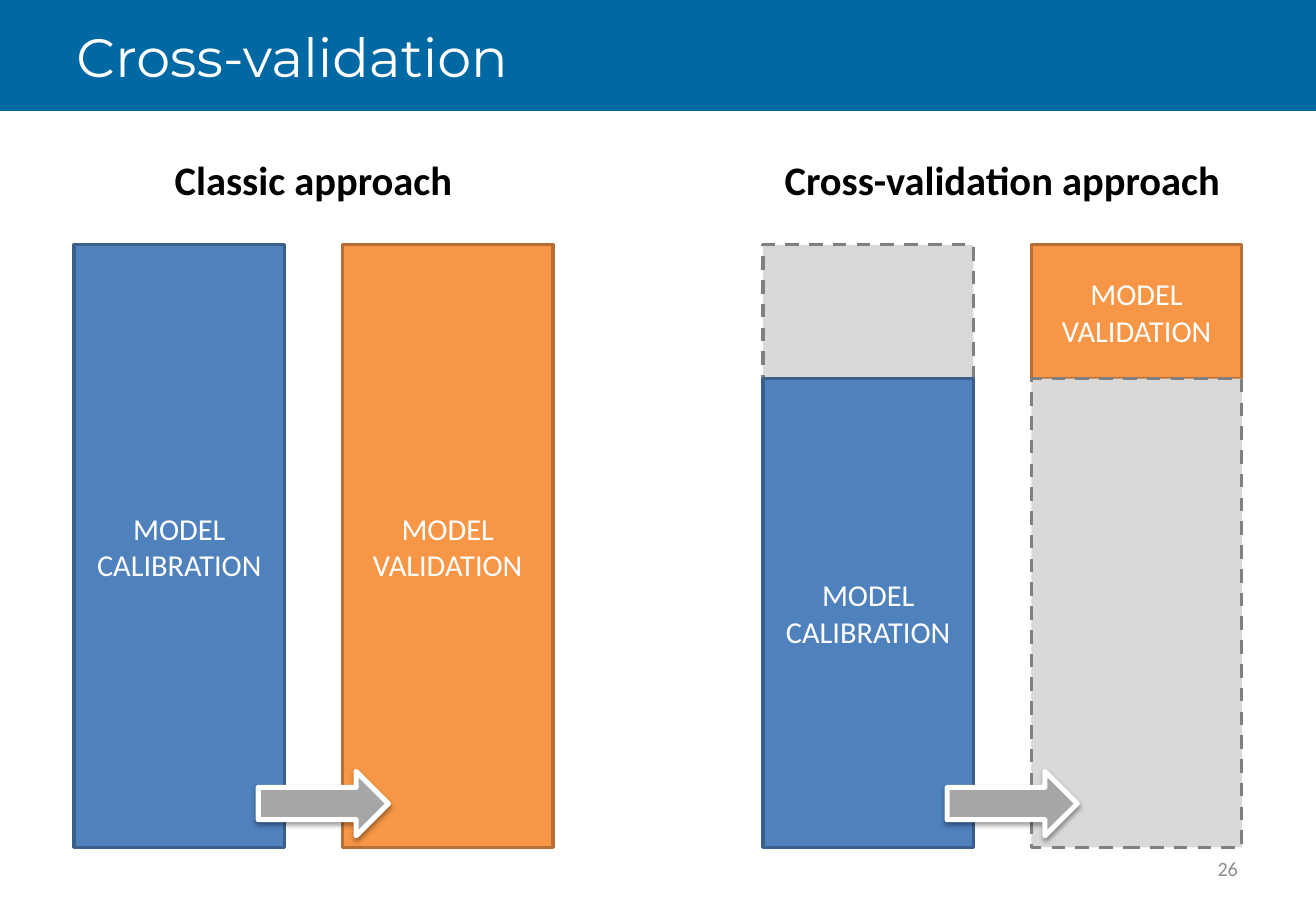
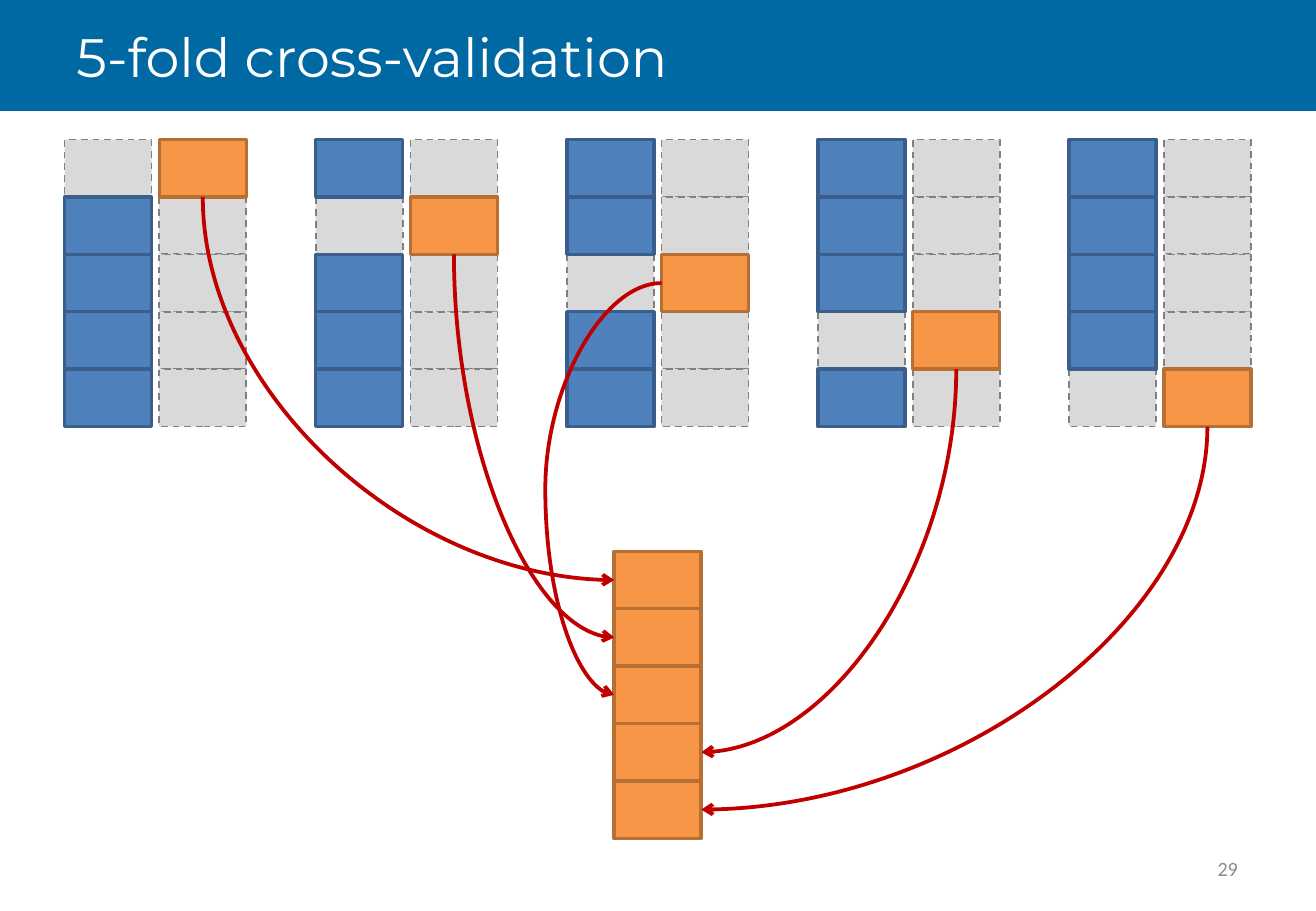
from dataclasses import dataclass
from typing import Any, Optional

from lxml import etree
from pptx import Presentation
from pptx.dml.color import RGBColor
from pptx.enum.dml import MSO_LINE
from pptx.enum.shapes import MSO_CONNECTOR, MSO_SHAPE
from pptx.enum.text import MSO_ANCHOR, PP_ALIGN
from pptx.oxml.ns import qn
from pptx.util import Cm, Pt

RECT, RIGHT_ARROW = MSO_SHAPE.RECTANGLE, MSO_SHAPE.RIGHT_ARROW
CURVE = MSO_CONNECTOR.CURVE
DASH = MSO_LINE.DASH
MIDDLE, TOP = MSO_ANCHOR.MIDDLE, MSO_ANCHOR.TOP
LEFT, CENTER, RIGHT = PP_ALIGN.LEFT, PP_ALIGN.CENTER, PP_ALIGN.RIGHT
SIDE_LEFT, SIDE_BOTTOM, SIDE_RIGHT = 1, 2, 3  # connection sites of a rectangle

COLORS = {
    "band": "0068A2", "white": "FFFFFF", "black": "000000", "number": "8C8C8C",
    "blue": "4F81BD", "blue_edge": "3A5F8C", "orange": "F79646",
    "orange_edge": "B76F34", "idle": "D9D9D9", "idle_edge": "808080",
    "arrow": "A6A6A6", "route": "C00000",
}

FONTS: dict[str, dict[str, Any]] = {
    "title": {"name": "Montserrat", "size": Pt(32)},
    "heading": {"name": "Calibri", "size": Pt(24), "bold": True},
    "label": {"name": "Calibri", "size": Pt(18)},
    "number": {"name": "Calibri", "size": Pt(12)},
}


@dataclass(frozen=True)
class Box:
    """Left, top, width and height in centimetres."""
    left: float
    top: float
    width: float
    height: float

    def lengths(self) -> tuple[int, int, int, int]:
        return Cm(self.left), Cm(self.top), Cm(self.width), Cm(self.height)


@dataclass(frozen=True)
class Role:
    """Look and label of a block of data."""
    fill: str
    edge: Optional[str] = None
    weight: float = 2
    dashed: bool = False
    label: str = ""


@dataclass(frozen=True)
class Route:
    """Curved arrow from a validation cell to a pooled cell."""
    start_side: int
    end_side: int
    preset: str
    turn: int
    flip: Optional[str] = None
    bulge: Optional[int] = None


BAND = Role("band")
CALIBRATION = Role("blue", "blue_edge", label="MODEL CALIBRATION")
VALIDATION = Role("orange", "orange_edge", label="MODEL VALIDATION")
IDLE = Role("idle", "idle_edge", dashed=True)
IDLE_CELL = Role("idle", "idle_edge", 1, dashed=True)
STEP = Role("arrow", "white", 3)

TO_RIGHT = Route(SIDE_BOTTOM, SIDE_LEFT, "curvedConnector2", 270, "flipH")
AROUND = Route(SIDE_LEFT, SIDE_LEFT, "curvedConnector3", 180, "flipV", 245600)
TO_LEFT = Route(SIDE_BOTTOM, SIDE_RIGHT, "curvedConnector2", 90)
ROUTES = [TO_RIGHT, TO_RIGHT, AROUND, TO_LEFT, TO_LEFT]

SLIDE_W, SLIDE_H, BAND_H = 27.51, 19.05, 2.32
# Columns of the first slide
COLUMN_W, COLUMN_PITCH, COLUMN_TOP, COLUMN_H, HELD_OUT_H = 4.4, 5.61, 5.12, 12.6, 2.8
# Cells of the second slide
CELL_W, CELL_H, CELL_PITCH = 1.82, 1.2, 1.98
FOLDS, FOLD_LEFT, FOLD_TOP, FOLD_PITCH = 5, 1.35, 2.92, 5.25
POOL_LEFT, POOL_TOP = 12.84, 11.53


def rgb(name: str) -> RGBColor:
    return RGBColor.from_string(COLORS[name])


def write(shape: Any, text: str, style: str, color: str,
          align: Any = CENTER, anchor: Any = MIDDLE) -> None:
    frame = shape.text_frame
    frame.word_wrap = True
    frame.vertical_anchor = anchor
    paragraph = frame.paragraphs[0]
    paragraph.alignment = align
    run = paragraph.add_run()
    run.text = text
    for key, value in FONTS[style].items():
        setattr(run.font, key, value)
    run.font.color.rgb = rgb(color)


def add_text(shapes: Any, box: Box, *content: Any) -> None:
    write(shapes.add_textbox(*box.lengths()), *content)


def add_block(shapes: Any, box: Box, role: Role, label: str = "",
              preset: Any = RECT) -> Any:
    block = shapes.add_shape(preset, *box.lengths())
    block.shadow.inherit = False
    block.fill.solid()
    block.fill.fore_color.rgb = rgb(role.fill)
    if role.edge:
        block.line.color.rgb = rgb(role.edge)
        block.line.width = Pt(role.weight)
        if role.dashed:
            block.line.dash_style = DASH
    else:
        block.line.fill.background()
    if label:
        write(block, label, "label", "white")
    return block


def add_step_arrow(shapes: Any, box: Box) -> None:
    arrow = add_block(shapes, box, STEP, preset=RIGHT_ARROW)
    effects = arrow.element.spPr.find(qn("a:effectLst"))
    shadow = etree.SubElement(effects, qn("a:outerShdw"), blurRad="40000",
                              dist="20000", dir="5400000", rotWithShape="0")
    color = etree.SubElement(shadow, qn("a:srgbClr"), val=COLORS["black"])
    etree.SubElement(color, qn("a:alpha"), val="38000")


def add_route(shapes: Any, start: Any, end: Any, route: Route) -> None:
    curve = shapes.add_connector(CURVE, 0, 0, 0, 0)
    curve.begin_connect(start, route.start_side)
    curve.end_connect(end, route.end_side)
    curve.line.color.rgb = rgb("route")
    curve.line.width = Pt(2.25)
    # A quarter turn swaps width and height around the same centre
    if route.turn % 180:
        width, height = curve.width, curve.height
        shift = (width - height) // 2
        curve.left, curve.top = curve.left + shift, curve.top - shift
        curve.width, curve.height = height, width
    properties = curve.element.spPr
    frame = properties.find(qn("a:xfrm"))
    for flip in ("flipH", "flipV"):
        frame.attrib.pop(flip, None)
    frame.set("rot", str(route.turn * 60000))
    if route.flip:
        frame.set(route.flip, "1")
    geometry = properties.find(qn("a:prstGeom"))
    geometry.set("prst", route.preset)
    if route.bulge:
        etree.SubElement(geometry.find(qn("a:avLst")), qn("a:gd"),
                         name="adj1", fmla=f"val {route.bulge}")
    etree.SubElement(properties.find(qn("a:ln")), qn("a:tailEnd"), type="arrow")
    etree.SubElement(properties, qn("a:effectLst"))


def add_slide(deck: Any, title: str, number: str) -> Any:
    """Add a blank slide with the title band and the slide number."""
    shapes = deck.slides.add_slide(deck.slide_layouts[6]).shapes
    add_block(shapes, Box(0, 0, SLIDE_W, BAND_H), BAND)
    add_text(shapes, Box(1.35, 0, 24.77, BAND_H), title, "title", "white", LEFT)
    add_text(shapes, Box(19.71, 17.65, 6.42, 1.01), number, "number", "number", RIGHT)
    return shapes


def add_approach(shapes: Any, left: float, heading: str,
                 columns: list[list[tuple[Role, float]]]) -> None:
    """Draw two columns of stacked blocks, their heading and the arrow between."""
    group = shapes.add_group_shape().shapes
    for index, column in enumerate(columns):
        top = COLUMN_TOP
        for role, height in column:
            box = Box(left + index * COLUMN_PITCH, top, COLUMN_W, height)
            add_block(group, box, role, role.label)
            top += height
    add_step_arrow(group, Box(left + 3.85, 16.13, 2.72, 1.35))
    add_text(group, Box(left, 3.12, COLUMN_PITCH + COLUMN_W, 1.27),
             heading, "heading", "black", CENTER, TOP)


def add_cell(shapes: Any, left: float, top: float, row: int, role: Role) -> Any:
    return add_block(shapes, Box(left, top + row * CELL_H, CELL_W, CELL_H), role)


def add_fold(shapes: Any, fold: int) -> Any:
    """Draw one fold and return its validation cell."""
    group = shapes.add_group_shape().shapes
    left = FOLD_LEFT + fold * FOLD_PITCH
    right = left + CELL_PITCH
    used_rows = [row for row in range(FOLDS) if row != fold]
    add_cell(group, left, FOLD_TOP, fold, IDLE_CELL)
    for row in used_rows:
        add_cell(group, right, FOLD_TOP, row, IDLE_CELL)
    for row in used_rows:
        add_cell(group, left, FOLD_TOP, row, CALIBRATION)
    return add_cell(group, right, FOLD_TOP, fold, VALIDATION)


def main() -> None:
    deck = Presentation()
    deck.slide_width, deck.slide_height = Cm(SLIDE_W), Cm(SLIDE_H)

    # Classic approach beside cross-validation
    shapes = add_slide(deck, "Cross-validation", "26")
    kept_h = COLUMN_H - HELD_OUT_H
    add_approach(shapes, 1.55, "Classic approach",
                 [[(CALIBRATION, COLUMN_H)], [(VALIDATION, COLUMN_H)]])
    add_approach(shapes, 15.95, "Cross-validation approach",
                 [[(IDLE, HELD_OUT_H), (CALIBRATION, kept_h)],
                  [(VALIDATION, HELD_OUT_H), (IDLE, kept_h)]])

    # Five folds pooled into one validation column
    shapes = add_slide(deck, "5-fold cross-validation", "29")
    validated = [add_fold(shapes, fold) for fold in range(FOLDS)]
    pooled = [add_cell(shapes, POOL_LEFT, POOL_TOP, row, VALIDATION)
              for row in range(FOLDS)]
    for start, end, route in zip(validated, pooled, ROUTES):
        add_route(shapes, start, end, route)

    deck.save("out.pptx")


if __name__ == "__main__":
    main()
